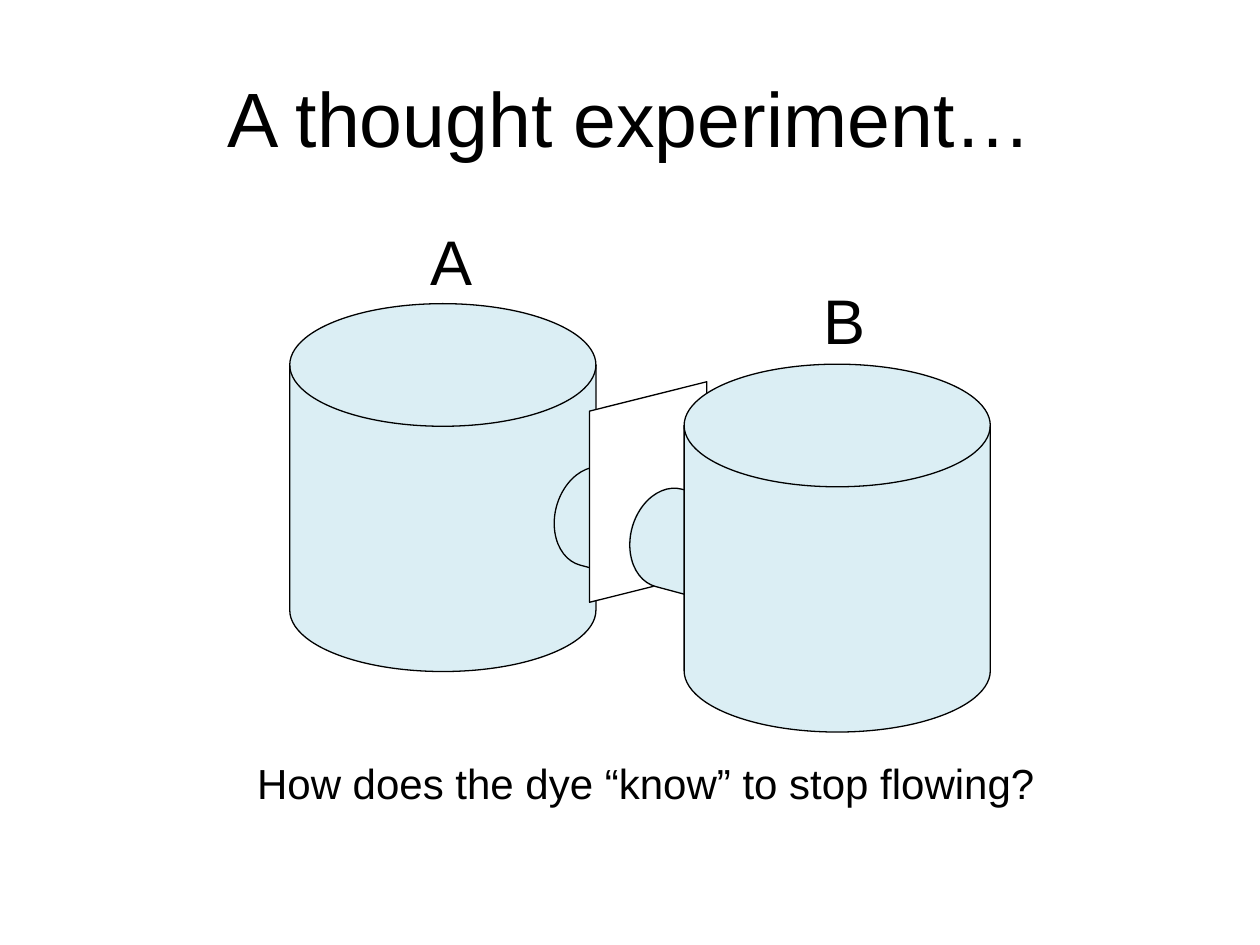
from pptx import Presentation
from pptx import util as u
from pptx.dml.color import RGBColor
from pptx.enum import shapes, text

WIDTH, HEIGHT = 10, 7.5
INK, WATER, PAPER = "000000", "DBEEF4", "FFFFFF"
DISK = shapes.MSO_SHAPE.FLOWCHART_MAGNETIC_DISK
SHEET = shapes.MSO_SHAPE.PARALLELOGRAM
TANK, PIPE, BARRIER = (2.43, 2.92), (0.8, 1.81), (1.75, 0.93)
LABEL = (0.87, 0.71)

# kind, left, top, size, rotation, fill, line, flipped
PARTS = [
    (DISK, 2.3, 2.41, TANK, 0, WATER, INK, False),
    (DISK, 4.89, 3.35, PIPE, 105, WATER, INK, False),
    (SHEET, 4.27, 3.44, BARRIER, 90, PAPER, INK, True),
    (DISK, 5.48, 3.52, PIPE, 105, WATER, None, False),
    (DISK, 5.49, 3.52, PIPE, 105, WATER, INK, False),
    (DISK, 5.43, 2.89, TANK, 0, WATER, INK, False),
]
TEXTS = [
    ("A thought experiment…", 0.5, 0.3, (9, 1.25), 44),
    ("How does the dye “know” to stop flowing?", 1.92, 5.96, (6.41, 0.5), 24),
    ("A", 3.15, 1.71, LABEL, 36),
    ("B", 6.27, 2.18, LABEL, 36),
]


def color(value):
    return RGBColor.from_string(value)


def box(left, top, size):
    return [u.Inches(length) for length in (left, top, *size)]


def add_part(slide, kind, left, top, size, rotation, fill, line, flipped):
    shape = slide.shapes.add_shape(kind, *box(left, top, size))
    shape.shadow.inherit = False
    shape.rotation = rotation
    shape.fill.solid()
    shape.fill.fore_color.rgb = color(fill)
    if line:
        shape.line.color.rgb = color(line)
        shape.line.width = u.Pt(0.75)
    else:
        shape.line.fill.background()
    if flipped:
        shape._element.spPr.xfrm.set("flipH", "1")


def add_text(slide, words, left, top, size, points):
    frame = slide.shapes.add_textbox(*box(left, top, size)).text_frame
    frame.word_wrap = True
    frame.vertical_anchor = text.MSO_ANCHOR.MIDDLE
    paragraph = frame.paragraphs[0]
    paragraph.text = words
    paragraph.alignment = text.PP_ALIGN.CENTER
    for name, value in {"name": "Arial", "size": u.Pt(points)}.items():
        setattr(paragraph.font, name, value)
    paragraph.font.color.rgb = color(INK)


def main():
    presentation = Presentation()
    presentation.slide_width = u.Inches(WIDTH)
    presentation.slide_height = u.Inches(HEIGHT)
    slide = presentation.slides.add_slide(presentation.slide_layouts[6])
    for part in PARTS:
        add_part(slide, *part)
    for item in TEXTS:
        add_text(slide, *item)
    presentation.save("out.pptx")


if __name__ == "__main__":
    main()
